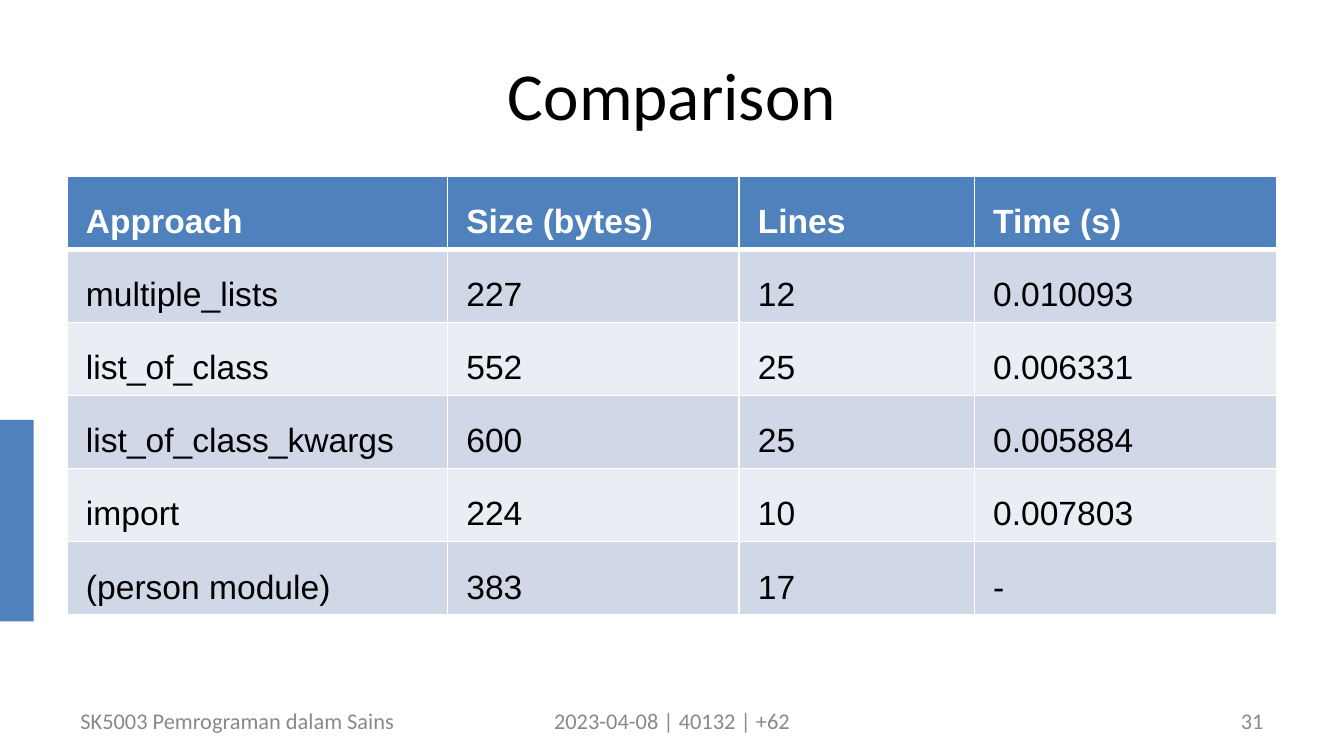
from dataclasses import dataclass
from lxml.etree import SubElement as Sub
from pptx import Presentation as Deck
from pptx.dml.color import RGBColor as Rgb
from pptx.enum.shapes import MSO_SHAPE as Shape
from pptx.enum.text import MSO_ANCHOR as Anchor, PP_ALIGN as Align
from pptx.oxml.ns import qn
from pptx.util import Inches, Pt


@dataclass(frozen=True)
class Theme:
    blue: str = "4F81BD"
    bands: tuple = ("D0D8E8", "E9EDF4")
    white: str = "FFFFFF"
    black: str = "000000"
    gray: str = "898989"
    pale: str = "8C8C8C"
    head: str = "Calibri"
    body: str = "Arial"
    big: int = 36
    mid: int = 18
    small: int = 12


def write(frame, text, font, size, color, bold=False, align=Align.LEFT, lead=None):
    frame.word_wrap = True
    par = frame.paragraphs[0]
    par.alignment = align
    if lead:
        par.line_spacing = lead
    run = par.add_run()
    run.text = text
    run.font.name, run.font.size, run.font.bold = font, Pt(size), bold
    run.font.color.rgb = Rgb.from_string(color)


def paint(item, color):
    item.fill.solid()
    item.fill.fore_color.rgb = Rgb.from_string(color)


class Page:
    """Places elements by percent of the slide's width and height."""

    def __init__(self, deck, theme):
        self.deck, self.theme = deck, theme
        self.slide = deck.slides.add_slide(deck.slide_layouts[5])
        self.shapes = self.slide.shapes

    def wide(self, part):
        return round(self.deck.slide_width * part / 100)

    def high(self, part):
        return round(self.deck.slide_height * part / 100)

    def box(self, x, y, w, h):
        return self.wide(x), self.high(y), self.wide(w), self.high(h)

    def title(self, text, *area):
        item = self.shapes.title
        item.left, item.top, item.width, item.height = self.box(*area)
        item.text_frame.vertical_anchor = Anchor.MIDDLE
        write(item.text_frame, text, self.theme.head, self.theme.big,
              self.theme.black, align=Align.CENTER)

    def bar(self, *area):
        item = self.shapes.add_shape(Shape.RECTANGLE, *self.box(*area))
        item.shadow.inherit = False
        paint(item, self.theme.blue)
        item.line.fill.background()

    def note(self, text, *area, color, align=Align.LEFT):
        item = self.shapes.add_textbox(*self.box(*area))
        item.text_frame.vertical_anchor = Anchor.MIDDLE
        write(item.text_frame, text, self.theme.head, self.theme.small,
              color, align=align)

    def edges(self, cell, first):
        props = cell._tc.get_or_add_tcPr()
        for side in "LRTB":
            thick = 3 if first and side == "B" else 1
            line = Sub(props, qn(f"a:ln{side}"), w=str(Pt(thick)))
            fill = Sub(line, qn("a:solidFill"))
            Sub(fill, qn("a:srgbClr"), val=self.theme.white)

    def table(self, data, x, y, cols, row):
        look = self.theme
        area = self.box(x, y, sum(cols), row * len(data))
        grid = self.shapes.add_table(len(data), len(cols), *area).table
        for col, part in zip(grid.columns, cols):
            col.width = self.wide(part)
        for i, line in enumerate(data):
            grid.rows[i].height = self.high(row)
            first = i == 0
            for j, text in enumerate(line):
                cell = grid.cell(i, j)
                cell.margin_left = cell.margin_right = Inches(0.14)
                cell.margin_top = cell.margin_bottom = Inches(0.06)
                cell.vertical_anchor = Anchor.MIDDLE
                self.edges(cell, first)
                paint(cell, look.blue if first else look.bands[(i - 1) % 2])
                write(cell.text_frame, text, look.body, look.mid,
                      look.white if first else look.black, bold=first, lead=1.5)


def main():
    # Wide 16:9 slide
    deck = Deck()
    deck.slide_width = Inches(10)
    deck.slide_height = deck.slide_width * 9 // 16
    theme = Theme()
    page = Page(deck, theme)

    # Side bar and title
    page.bar(0, 55.56, 2.5, 26.67)
    page.title("Comparison", 5, 4.1, 90, 16.67)

    # Comparison table
    data = [
        ("Approach", "Size (bytes)", "Lines", "Time (s)"),
        ("multiple_lists", "227", "12", "0.010093"),
        ("list_of_class", "552", "25", "0.006331"),
        ("list_of_class_kwargs", "600", "25", "0.005884"),
        ("import", "224", "10", "0.007803"),
        ("(person module)", "383", "17", "-"),
    ]
    page.table(data, 5, 23.33, cols=(28.3, 21.7, 17.5, 22.5), row=9.66)

    # Footer
    top, tall = 92.7, 5.32
    page.note("SK5003 Pemrograman dalam Sains", 5, top, 25.8, tall, color=theme.gray)
    page.note("2023-04-08 | 40132 | +62", 34.17, top, 31.67, tall,
              color=theme.gray, align=Align.CENTER)
    page.note("31", 71.67, top, 23.33, tall, color=theme.pale, align=Align.RIGHT)

    deck.save("out.pptx")


if __name__ == "__main__":
    main()
